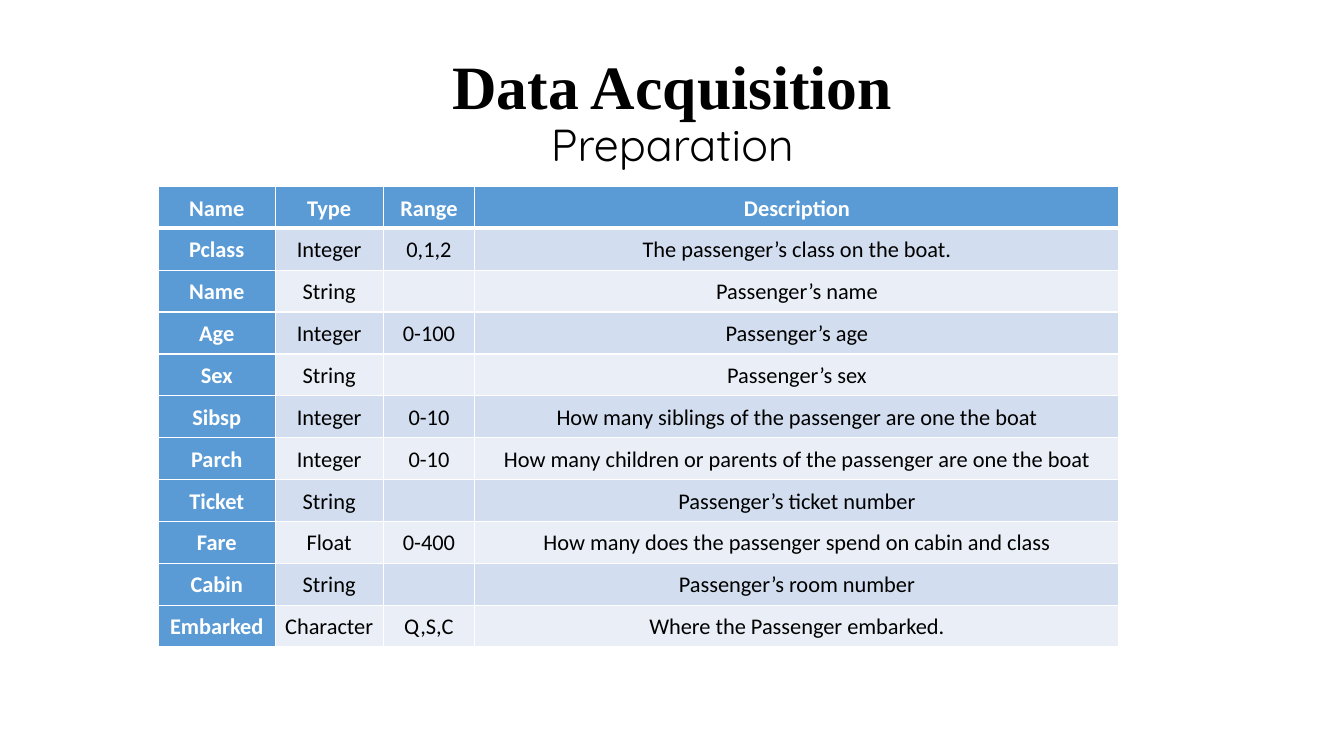
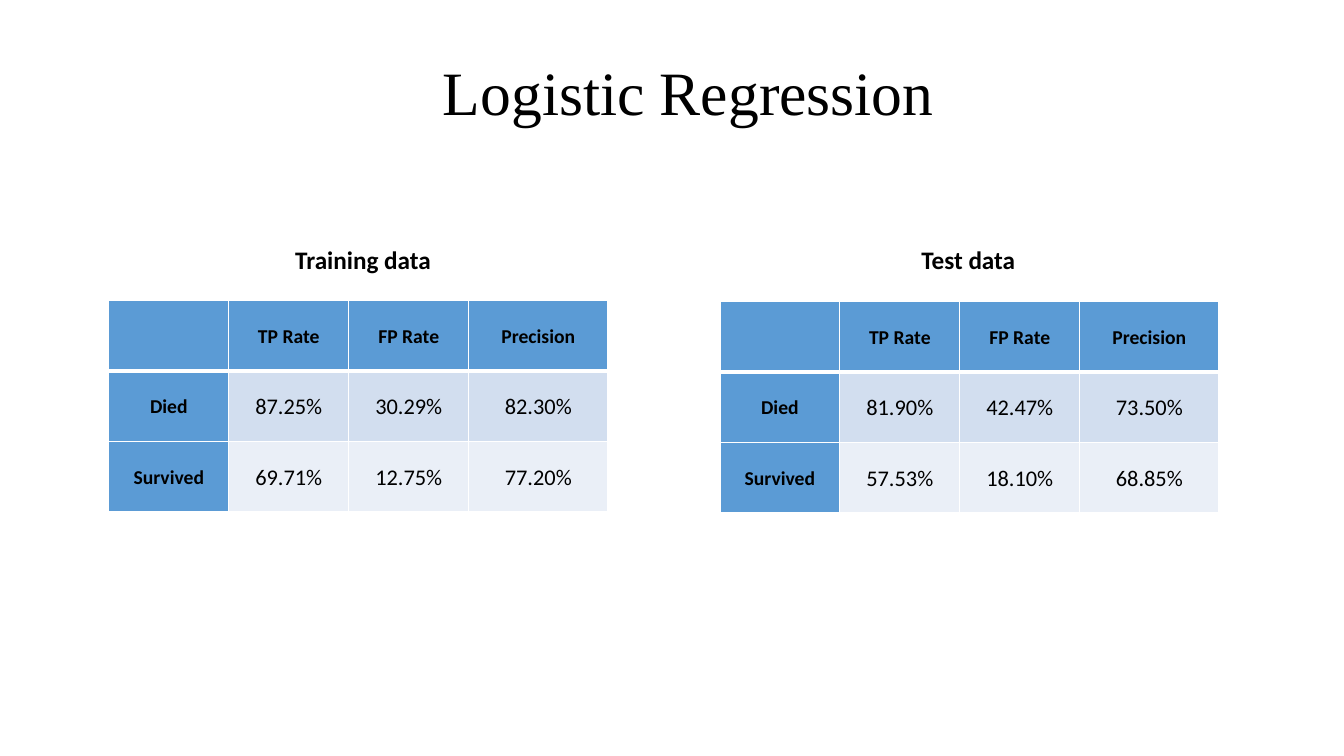
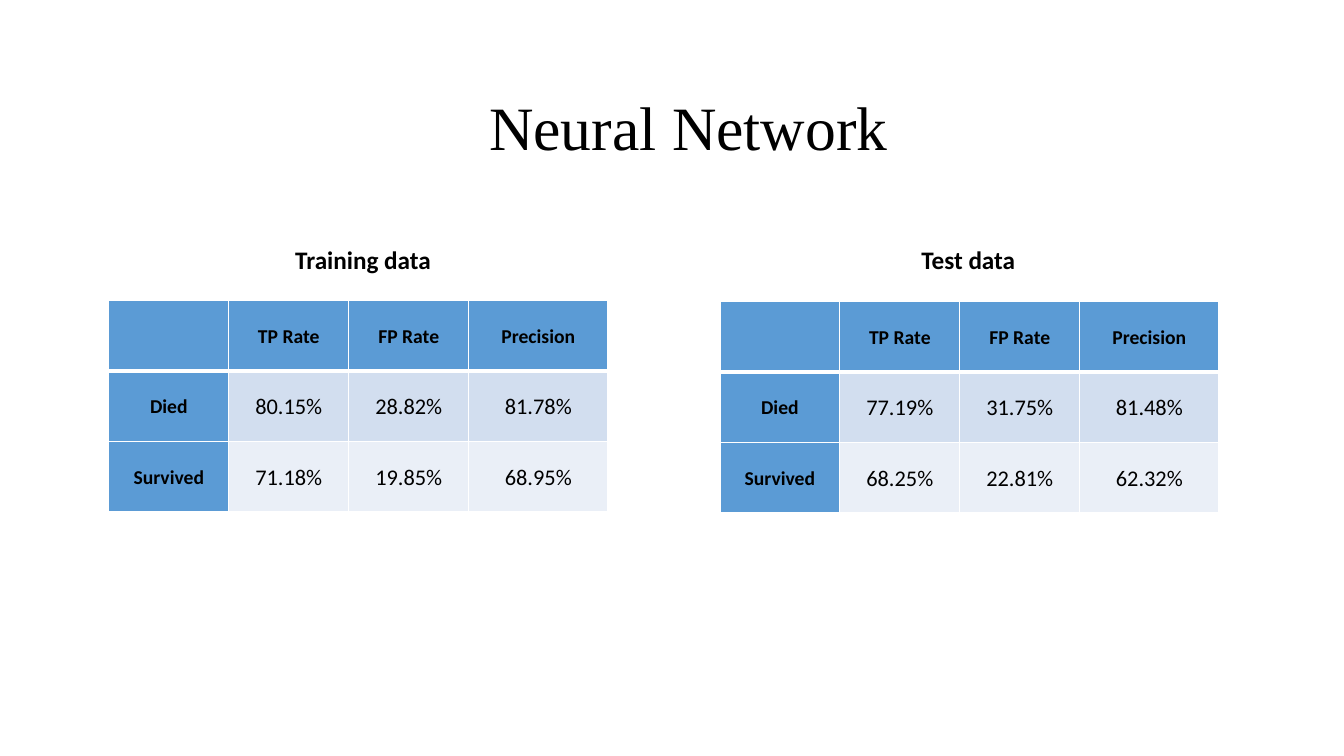
"""Build three slides on passenger data and classifier results."""
import pptx
import pptx.util
import pptx.dml.color
import pptx.enum.text
import pptx.oxml
import pptx.oxml.ns

Inches, Pt = pptx.util.Inches, pptx.util.Pt
RGBColor = pptx.dml.color.RGBColor
PP_ALIGN = pptx.enum.text.PP_ALIGN
ANCHOR = pptx.enum.text.MSO_ANCHOR
AUTO_SIZE = pptx.enum.text.MSO_AUTO_SIZE

BLACK = RGBColor(0x00, 0x00, 0x00)
WHITE = RGBColor(0xFF, 0xFF, 0xFF)
BLUE = RGBColor(0x5B, 0x9B, 0xD5)
BANDS = (RGBColor(0xD2, 0xDE, 0xEF), RGBColor(0xEA, 0xEF, 0xF7))

FIELDS = [
    ("Name", "Type", "Range", "Description"),
    ("Pclass", "Integer", "0,1,2", "The passenger’s class on the boat."),
    ("Name", "String", "", "Passenger’s name"),
    ("Age", "Integer", "0-100", "Passenger’s age"),
    ("Sex", "String", "", "Passenger’s sex"),
    ("Sibsp", "Integer", "0-10", "How many siblings of the passenger are one the boat"),
    ("Parch", "Integer", "0-10",
     "How many children or parents of the passenger are one the boat"),
    ("Ticket", "String", "", "Passenger’s ticket number"),
    ("Fare", "Float", "0-400", "How many does the passenger spend on cabin and class"),
    ("Cabin", "String", "", "Passenger’s room number"),
    ("Embarked", "Character", "Q,S,C", "Where the Passenger embarked."),
]
FIELD_COLS = (1.16, 1.07, 0.91, 6.39)

RATE_HEADER = ("", "TP Rate", "FP Rate", "Precision")
RATE_COLS = (1.19, 1.19, 1.19, 1.38)
MODELS = [
    ("Logistic Regression", ANCHOR.TOP, [
        [("Died", "87.25%", "30.29%", "82.30%"),
         ("Survived", "69.71%", "12.75%", "77.20%")],
        [("Died", "81.90%", "42.47%", "73.50%"),
         ("Survived", "57.53%", "18.10%", "68.85%")],
    ]),
    ("Neural Network", ANCHOR.MIDDLE, [
        [("Died", "80.15%", "28.82%", "81.78%"),
         ("Survived", "71.18%", "19.85%", "68.95%")],
        [("Died", "77.19%", "31.75%", "81.48%"),
         ("Survived", "68.25%", "22.81%", "62.32%")],
    ]),
]
PANELS = [
    ("Training data", (2.83, 2.37, 1.56, 0.4), (1.08, 2.98)),
    ("Test data", (9.04, 2.37, 1.14, 0.4), (7.14, 2.99)),
]


def write(p, text, size=16, font="Calibri", color=BLACK, bold=False,
          align=PP_ALIGN.CENTER, spacing=1.07):
    p.alignment = align
    p.line_spacing = spacing
    r = p.add_run()
    r.text = text
    r.font.size = Pt(size)
    r.font.name = font
    r.font.color.rgb = color
    r.font.bold = bold


def add_slide(prs, title, left, top, bold=False, anchor=ANCHOR.MIDDLE, subtitle=""):
    s = prs.slides.add_slide(prs.slide_layouts[5])
    sp = s.shapes.title
    sp.left, sp.top = Inches(left), Inches(top)
    sp.width, sp.height = Inches(11.5), Inches(1.45)
    tf = sp.text_frame
    tf.word_wrap = True
    tf.auto_size = AUTO_SIZE.NONE
    tf.vertical_anchor = anchor
    p = tf.paragraphs[0]
    write(p, title, size=44, font="Times New Roman", bold=bold, spacing=0.9)
    if subtitle:
        p.add_line_break()
        write(p, subtitle, size=32, font="Quicksand", spacing=0.9)
    return s


def set_borders(cell, row):
    widths = {"lnL": 1, "lnR": 1, "lnT": 3 if row == 1 else 1, "lnB": 3 if row == 0 else 1}
    tc_pr = cell._tc.get_or_add_tcPr()
    for i, (side, width) in enumerate(widths.items()):
        tc_pr.insert(i, pptx.oxml.parse_xml(
            f'<a:{side} {pptx.oxml.ns.nsdecls("a")} w="{Pt(width)}"><a:solidFill>'
            f'<a:srgbClr val="{WHITE}"/></a:solidFill></a:{side}>'))


def add_table(s, rows, cols, left, top, row_height, head_size, head_color):
    table = s.shapes.add_table(
        len(rows), len(cols), Inches(left), Inches(top),
        Inches(sum(cols)), Inches(row_height * len(rows))).table
    table.horz_banding = False
    for column, width in zip(table.columns, cols):
        column.width = Inches(width)
    for i, row in enumerate(rows):
        table.rows[i].height = Inches(row_height)
        for j, text in enumerate(row):
            cell = table.cell(i, j)
            head = i == 0 or j == 0
            cell.fill.solid()
            cell.fill.fore_color.rgb = BLUE if head else BANDS[(i - 1) % 2]
            set_borders(cell, i)
            cell.vertical_anchor = ANCHOR.MIDDLE
            cell.margin_left = cell.margin_right = Inches(0.07)
            cell.margin_top = cell.margin_bottom = 0
            if text:
                write(cell.text_frame.paragraphs[0], text, bold=head,
                      size=head_size if head else 16,
                      color=head_color if head else BLACK)


def add_caption(s, text, box):
    tf = s.shapes.add_textbox(*map(Inches, box)).text_frame
    tf.word_wrap = False
    tf.auto_size = AUTO_SIZE.SHAPE_TO_FIT_TEXT
    write(tf.paragraphs[0], text, size=18, bold=True, align=PP_ALIGN.LEFT, spacing=1.0)


prs = pptx.Presentation()
prs.slide_width, prs.slide_height = Inches(13.33), Inches(7.5)

s = add_slide(prs, "Data Acquisition", 0.92, 0.4, bold=True, subtitle="Preparation")
add_table(s, FIELDS, FIELD_COLS, 1.57, 1.85, 4.57 / len(FIELDS), 16, WHITE)

for title, anchor, results in MODELS:
    s = add_slide(prs, title, 1.08, 0.57, anchor=anchor)
    for (caption, box, (left, top)), rates in zip(PANELS, results):
        add_table(s, [RATE_HEADER] + rates, RATE_COLS, left, top, 0.7, 14, BLACK)
        add_caption(s, caption, box)

prs.save("out.pptx")
